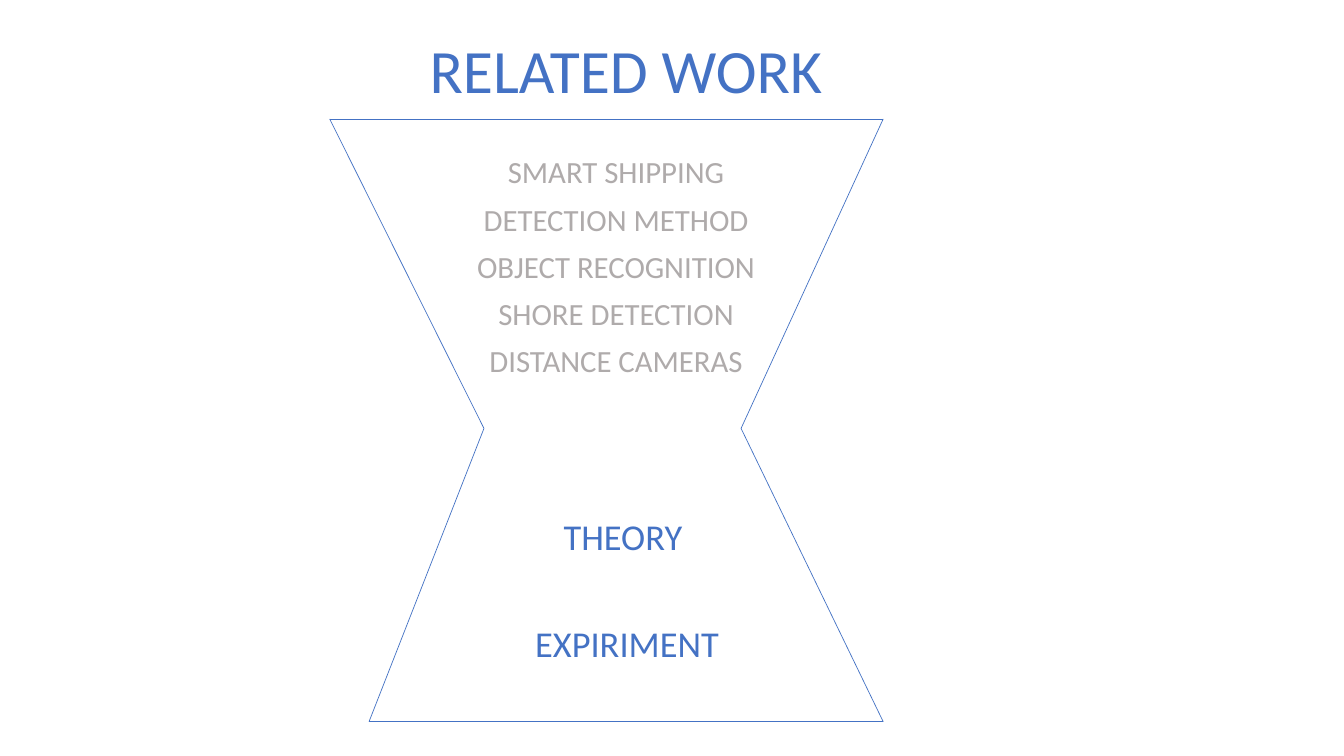
from lxml import etree
from pptx import Presentation
from pptx import util as u
from pptx.dml.color import RGBColor
from pptx.enum import shapes, text
from pptx.oxml.ns import qn

COLORS = {"accent": "4472C4", "muted": "AFABAB"}
FONT = "Calibri"
TOPICS = ["SMART SHIPPING", "DETECTION METHOD", "OBJECT RECOGNITION",
          "SHORE DETECTION", "DISTANCE CAMERAS"]
STAGES = ["THEORY ", "EXPIRIMENT"]


def add_centred_text(slide, box, lines, size, color, gap=0, anchor=text.MSO_ANCHOR.TOP):
    """Place centred lines in a box, with a gap in points between them."""
    shape = slide.shapes.add_textbox(*(u.Inches(length) for length in box))
    frame = shape.text_frame
    frame.word_wrap = True
    frame.vertical_anchor = anchor
    for index, line in enumerate(lines):
        paragraph = frame.add_paragraph() if index else frame.paragraphs[0]
        paragraph.alignment = text.PP_ALIGN.CENTER
        paragraph.line_spacing = 0.9
        paragraph.space_before = u.Pt(gap if index else 0)
        run = paragraph.add_run()
        run.text = line
        run.font.name = FONT
        run.font.size = u.Pt(size)
        run.font.color.rgb = RGBColor.from_string(COLORS[color])


def add_hourglass(slide, box):
    """Draw the hourglass outline as six lines inside a box."""
    left, top, width, height = box
    right, bottom, waist = left + width, top + height, top + 3.07
    corners = [(left, top), (right, top), (right - 1.41, waist),
               (right, bottom), (left + 0.39, bottom), (left + 1.53, waist)]
    for start, end in zip(corners, corners[1:] + corners[:1]):
        line = slide.shapes.add_connector(
            shapes.MSO_CONNECTOR.STRAIGHT,
            *(u.Inches(length) for length in start + end))
        line.line.color.rgb = RGBColor.from_string(COLORS["accent"])
        line.line.width = u.Pt(0.5)
        etree.SubElement(line._element.spPr, qn("a:effectLst"))


def build_related_work(presentation):
    """Add the slide with its title, hourglass and two text groups."""
    slide = presentation.slides.add_slide(presentation.slide_layouts[6])
    add_hourglass(slide, (3.27, 1.18, 5.49, 5.98))
    add_centred_text(slide, (3.45, 1.51, 5.32, 2.42), TOPICS, 22, "muted", gap=10)
    add_centred_text(slide, (3.56, 5.1, 5.32, 2.42), STAGES, 26, "accent", gap=48.5)
    add_centred_text(slide, (0.46, 0, 11.5, 1.45), ["RELATED WORK"], 44, "accent",
                     anchor=text.MSO_ANCHOR.MIDDLE)


def main():
    """Build and save the presentation."""
    presentation = Presentation()
    presentation.slide_width = u.Inches(13.33)
    presentation.slide_height = u.Inches(7.5)
    build_related_work(presentation)
    presentation.save("out.pptx")


if __name__ == "__main__":
    main()
